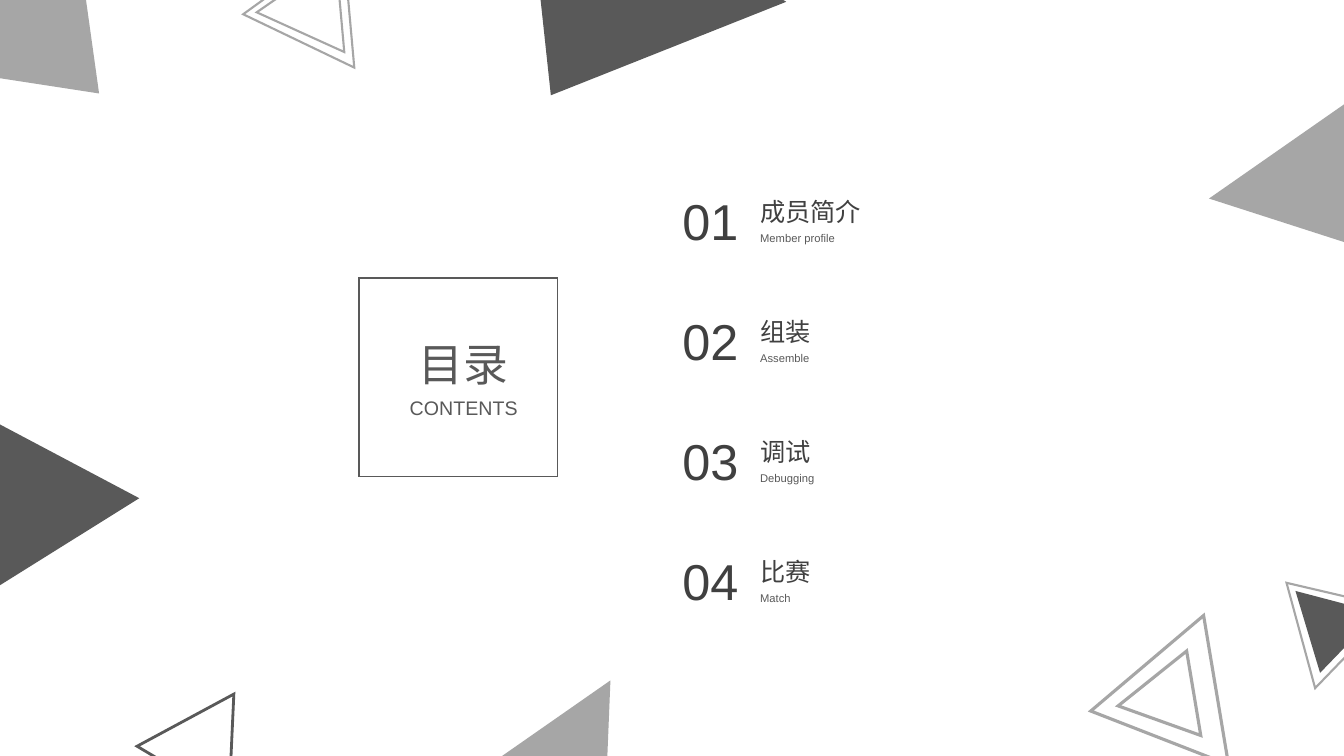
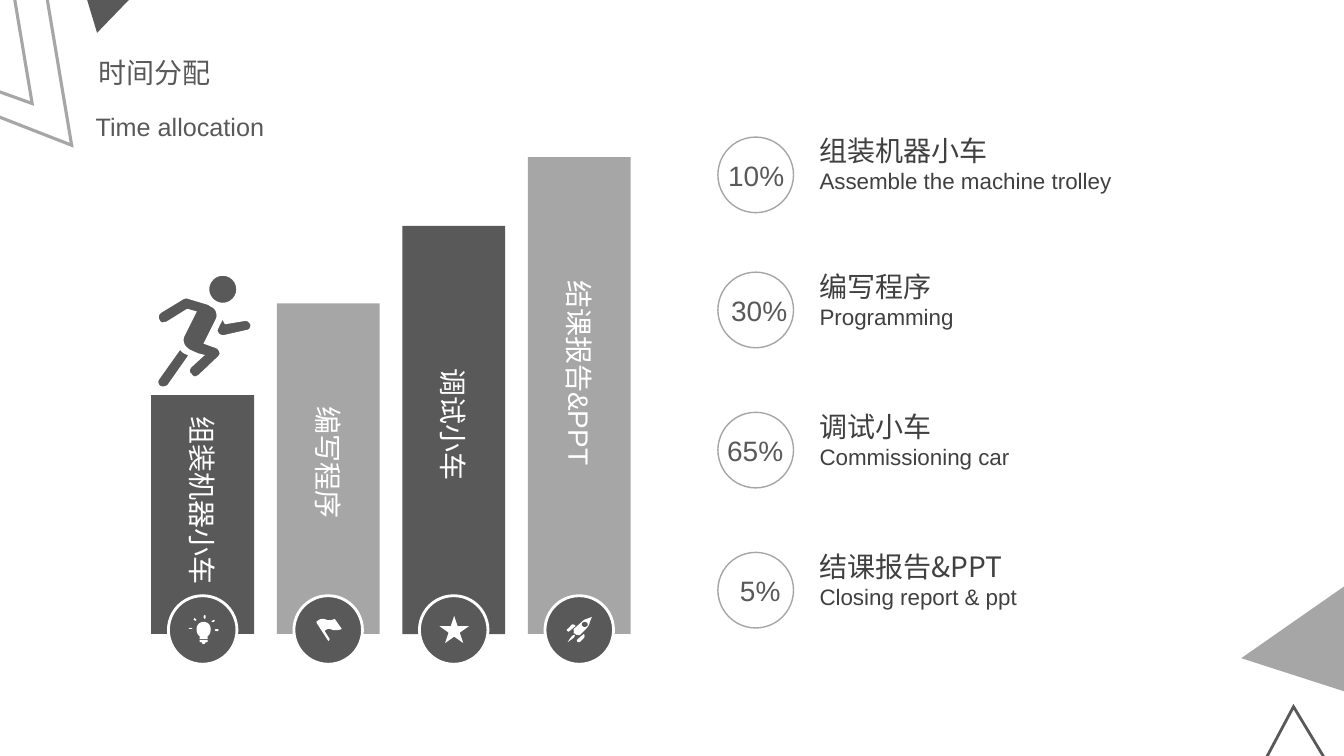
from dataclasses import dataclass

from pptx import Presentation
from pptx.dml.color import RGBColor
from pptx.enum.shapes import MSO_SHAPE
from pptx.enum.text import MSO_AUTO_SIZE, PP_ALIGN
from pptx.oxml.ns import qn
from pptx.util import Emu, Inches, Pt

TRIANGLE = MSO_SHAPE.ISOSCELES_TRIANGLE
RECT = MSO_SHAPE.RECTANGLE
OVAL = MSO_SHAPE.OVAL
STAR = MSO_SHAPE.STAR_5_POINT
LEFT, CENTER = PP_ALIGN.LEFT, PP_ALIGN.CENTER
GROW = MSO_AUTO_SIZE.SHAPE_TO_FIT_TEXT

# The slide is a grid of square cells; every length counts columns or rows.
COLS, ROWS = 13.33, 7.5
CELL = Inches(1)

DARK, GREY, INK, WHITE = "595959", "A6A6A6", "404040", "FFFFFF"
LATIN, CJK = "Arial", "Noto Sans CJK SC"
CURVE_STEPS = 8


@dataclass(frozen=True)
class Triangle:
    left: float
    top: float
    width: float
    height: float
    rotation: float
    flip: str = ""
    fill: str = ""
    line: str = ""
    weight: float = 0


@dataclass(frozen=True)
class Run:
    text: str
    size: float
    color: str = DARK
    font: str = LATIN


@dataclass(frozen=True)
class Chapter:
    title: str
    english: str
    title_width: float
    english_width: float


@dataclass(frozen=True)
class Bar:
    label: str
    height: float
    label_top: float
    label_length: float
    color: str


@dataclass(frozen=True)
class Share:
    percent: str
    title: str
    english: str
    top: float
    percent_left: float


CONTENTS_TRIANGLES = [
    Triangle(4.46, -0.91, 3.04, 2, 31.1, "HV", fill=DARK),
    Triangle(1.51, 7.09, 1.09, 0.91, 151.7, "H", line=DARK, weight=2),
    Triangle(-1.05, 3.82, 2.11, 1.82, 328, "H", fill=DARK),
    Triangle(2.31, -0.43, 1.25, 1.05, 264.9, "H", line=GREY, weight=1.5),
    Triangle(2.49, -0.33, 0.94, 0.83, 264.9, "H", line=GREY, weight=1.5),
    Triangle(-1.24, -0.81, 3.02, 2.03, 315.4, "V", fill=GREY),
    Triangle(12.54, 5.64, 1.11, 0.93, 314, line=GREY, weight=1.5),
    Triangle(12.7, 5.75, 0.83, 0.74, 314, fill=DARK),
    Triangle(10.69, 6.32, 1.5, 1.26, 260.5, line=GREY, weight=2.25),
    Triangle(11.04, 6.56, 0.85, 0.76, 260.5, line=GREY, weight=2.25),
    Triangle(12.29, 0.92, 3.04, 2, 325.1, "HV", fill=GREY),
    Triangle(3.86, 7.44, 3.04, 2, 325.1, "HV", fill=GREY),
]
TIME_TRIANGLES = [
    Triangle(0.57, -0.6, 0.83, 0.74, 314, fill=DARK),
    Triangle(-1.44, -0.38, 2.16, 1.81, 260.5, line=GREY, weight=2.25),
    Triangle(-0.93, -0.03, 1.22, 1.09, 260.5, line=GREY, weight=2.25),
    Triangle(12.61, 5.48, 3.04, 2, 325.1, "HV", fill=GREY),
    Triangle(12.43, 7.25, 1.09, 0.91, 118, "H", line=DARK, weight=2),
]
CHAPTERS = [
    Chapter("成员简介", "Member profile", 1.21, 0.95),
    Chapter("组装", "Assemble", 0.71, 0.7),
    Chapter("调试", "Debugging", 0.71, 0.75),
    Chapter("比赛", "Match", 0.71, 0.51),
]
BARS = [
    Bar("组装机器小车", 2.37, 4.03, 1.93, DARK),
    Bar("编写程序", 3.28, 3.93, 1.74, GREY),
    Bar("调试小车", 4.05, 3.56, 1.74, DARK),
    Bar("结课报告&PPT", 4.73, 2.68, 2.63, GREY),
]
SHARES = [
    Share("10%", "组装机器小车", "Assemble the machine trolley", 1.36, 7.01),
    Share("30%", "编写程序", "Programming", 2.7, 7.04),
    Share("65%", "调试小车", "Commissioning car", 4.09, 7),
    Share("5%", "结课报告&PPT", "Closing report & ppt", 5.48, 7.05),
]

# Outlines: a pair is a corner, six numbers are a Bézier curve.
RUNNER = [
    [(2.42, 3.17), (2.24, 3.2), (2.18, 3.09), (2.2, 3.13, 2.2, 3.17, 2.17, 3.21),
     (2.14, 3.28), (2.15, 3.3), (2.16, 3.33, 2.19, 3.34, 2.22, 3.34), (2.44, 3.29),
     (2.48, 3.29, 2.5, 3.26, 2.5, 3.22), (2.49, 3.19, 2.46, 3.16, 2.42, 3.17)],
    [(2.15, 3.44), (2.04, 3.4), (2.15, 3.18), (2.18, 3.13, 2.16, 3.05, 2.1, 3.03),
     (2.07, 3.01), (1.87, 2.95), (1.85, 2.94, 1.83, 2.95, 1.82, 2.95), (1.59, 3.09),
     (1.56, 3.11, 1.55, 3.15, 1.57, 3.18), (1.58, 3.21, 1.61, 3.22, 1.63, 3.21),
     (1.65, 3.21), (1.86, 3.08), (1.93, 3.1), (1.82, 3.32),
     (1.79, 3.37, 1.81, 3.44, 1.86, 3.47), (1.87, 3.48), (1.96, 3.52), (2, 3.53),
     (1.89, 3.63), (1.86, 3.66, 1.86, 3.7, 1.89, 3.72),
     (1.9, 3.74, 1.92, 3.75, 1.94, 3.75), (1.96, 3.74, 1.97, 3.74, 1.98, 3.73),
     (2.17, 3.55), (2.19, 3.53, 2.2, 3.51, 2.19, 3.49),
     (2.18, 3.46, 2.17, 3.45, 2.15, 3.44)],
    [(1.79, 3.44), (1.57, 3.75), (1.55, 3.77, 1.55, 3.82, 1.58, 3.84),
     (1.6, 3.85, 1.62, 3.85, 1.63, 3.85), (1.65, 3.84, 1.67, 3.84, 1.68, 3.82),
     (1.89, 3.52), (1.85, 3.5), (1.82, 3.49, 1.8, 3.47, 1.79, 3.44)],
]
BULB = [
    [(1.95, 6.15), (1.93, 6.13), (1.92, 6.15), (1.94, 6.16)],
    [(1.9, 6.23), (1.88, 6.23), (1.87, 6.24), (1.9, 6.24), (1.91, 6.24)],
    [(2.16, 6.24), (2.14, 6.24), (2.13, 6.25), (2.14, 6.26), (2.16, 6.26), (2.17, 6.25)],
    [(2.13, 6.15), (2.12, 6.15), (2.1, 6.16), (2.1, 6.17), (2.12, 6.17), (2.13, 6.16)],
    [(2.03, 6.14), (2.04, 6.13), (2.04, 6.11), (2.03, 6.1), (2.02, 6.11), (2.02, 6.13)],
    [(2.02, 6.17), (1.98, 6.17, 1.95, 6.2, 1.95, 6.24),
     (1.95, 6.27, 1.96, 6.3, 1.98, 6.31), (1.98, 6.34), (2.06, 6.34), (2.06, 6.31),
     (2.08, 6.3, 2.09, 6.27, 2.09, 6.24), (2.09, 6.2, 2.06, 6.17, 2.02, 6.17)],
    [(1.98, 6.37), (2, 6.37), (2, 6.38, 2.01, 6.39, 2.02, 6.39),
     (2.03, 6.39, 2.04, 6.38, 2.04, 6.37), (2.06, 6.37), (2.06, 6.35), (1.98, 6.35)],
]
FLAG = [
    [(3.32, 6.14), (3.32, 6.14, 3.28, 6.16, 3.24, 6.15),
     (3.2, 6.13, 3.17, 6.14, 3.15, 6.16), (3.14, 6.16), (3.14, 6.18), (3.25, 6.35),
     (3.26, 6.36), (3.27, 6.34), (3.22, 6.26), (3.24, 6.24, 3.26, 6.23, 3.3, 6.25),
     (3.35, 6.26, 3.39, 6.24, 3.39, 6.24)],
]
ROCKET = [
    [(5.82, 6.14), (5.8, 6.14, 5.78, 6.16, 5.77, 6.17), (5.69, 6.24), (5.69, 6.26),
     (5.73, 6.3), (5.75, 6.3), (5.82, 6.23), (5.83, 6.22, 5.85, 6.19, 5.85, 6.17),
     (5.87, 6.12)],
    [(5.65, 6.26), (5.71, 6.21), (5.69, 6.19, 5.67, 6.19, 5.66, 6.21), (5.63, 6.24),
     (5.62, 6.24, 5.62, 6.26, 5.63, 6.26), (5.63, 6.27, 5.64, 6.27, 5.65, 6.26)],
    [(5.73, 6.34), (5.72, 6.35, 5.72, 6.36, 5.73, 6.37),
     (5.74, 6.37, 5.75, 6.37, 5.75, 6.37), (5.79, 6.33),
     (5.8, 6.32, 5.8, 6.3, 5.79, 6.29)],
    [(5.69, 6.27), (5.69, 6.28), (5.72, 6.3), (5.73, 6.29), (5.7, 6.26)],
    [(5.63, 6.37), (5.66, 6.35, 5.71, 6.32, 5.7, 6.3),
     (5.68, 6.29, 5.65, 6.34, 5.63, 6.37)],
]


def grid(cells: float) -> Emu:
    return Emu(round(cells * CELL))


def rgb(color: str) -> RGBColor:
    return RGBColor.from_string(color)


def paint(sp, fill: str = "", line: str = "", weight: float = 0) -> None:
    """Set fill and mitred outline; an empty colour means none."""
    sp.shadow.inherit = False
    if fill:
        sp.fill.solid()
        sp.fill.fore_color.rgb = rgb(fill)
    else:
        sp.fill.background()
    if line:
        sp.line.color.rgb = rgb(line)
        sp.line.width = Pt(weight)
        ln = sp._element.spPr.find(qn("a:ln"))
        ln.append(ln.makeelement(qn("a:miter"), {"lim": "800000"}))
    else:
        sp.line.fill.background()


def add_shape(slide, kind, left: float, top: float, width: float, height: float,
              fill: str = "", line: str = "", weight: float = 0):
    sp = slide.shapes.add_shape(kind, *map(grid, (left, top, width, height)))
    paint(sp, fill, line, weight)
    return sp


def add_triangles(slide, triangles: list[Triangle]) -> None:
    for t in triangles:
        sp = add_shape(slide, TRIANGLE, t.left, t.top, t.width, t.height,
                       t.fill, t.line, t.weight)
        sp.rotation = t.rotation
        for axis in t.flip:
            sp._element.spPr.xfrm.set("flip" + axis, "1")


def trace(outline: list[tuple]) -> list[tuple[Emu, Emu]]:
    """Turn corners and Bézier curves into a fine polygon."""
    points = [outline[0]]
    for segment in outline[1:]:
        if len(segment) == 2:
            points.append(segment)
            continue
        x0, y0 = points[-1]
        x1, y1, x2, y2, x3, y3 = segment
        for step in range(1, CURVE_STEPS + 1):
            t = step / CURVE_STEPS
            u = 1 - t
            a, b, c, d = u ** 3, 3 * u * u * t, 3 * u * t * t, t ** 3
            points.append((a * x0 + b * x1 + c * x2 + d * x3,
                           a * y0 + b * y1 + c * y2 + d * y3))
    return [(grid(x), grid(y)) for x, y in points]


def add_outlines(slide, outlines: list[list[tuple]], fill: str,
                 line: str = "", weight: float = 0) -> None:
    for outline in outlines:
        start, *rest = trace(outline)
        builder = slide.shapes.build_freeform(*start)
        builder.add_line_segments(rest, close=True)
        paint(builder.convert_to_shape(), fill, line, weight)


def add_text(slide, left: float, top: float, width: float, height: float,
             *runs: Run, align=LEFT, wrap: bool = True, spacing: float = 1):
    """Add a text box with one paragraph for each run."""
    sp = slide.shapes.add_textbox(*map(grid, (left, top, width, height)))
    tf = sp.text_frame
    tf.word_wrap = wrap
    tf.auto_size = GROW
    for i, run in enumerate(runs):
        p = tf.add_paragraph() if i else tf.paragraphs[0]
        p.alignment = align
        p.line_spacing = spacing
        r = p.add_run()
        r.text = run.text
        r.font.size = Pt(run.size)
        r.font.color.rgb = rgb(run.color)
        r.font.name = run.font
        rPr = r.font._element
        rPr.append(rPr.makeelement(qn("a:ea"), {"typeface": CJK}))
    return sp


def build_contents(slide) -> None:
    add_triangles(slide, CONTENTS_TRIANGLES)
    for i, chapter in enumerate(CHAPTERS):
        top = 1.84 + 1.19 * i
        add_text(slide, 6.67, top, 0.76, 0.71, Run(f"{i + 1:02}", 36, INK), wrap=False)
        add_text(slide, 7.44, top + 0.06, chapter.title_width, 0.4,
                 Run(chapter.title, 18, INK, CJK), wrap=False)
        add_text(slide, 7.44, top + 0.41, chapter.english_width, 0.24,
                 Run(chapter.english, 8), wrap=False)
    add_text(slide, 4.05, 3.29, 1.1, 0.64, Run("目录", 32, font=CJK),
             align=CENTER, wrap=False)
    add_text(slide, 3.96, 3.88, 1.28, 0.34, Run("CONTENTS", 14),
             align=CENTER, wrap=False)
    add_shape(slide, RECT, 3.56, 2.76, 1.97, 1.97, line=DARK, weight=1)


def add_bars(slide) -> None:
    bar_width, pitch, floor, badge, label_height = 1.02, 1.245, 6.29, 0.68, 0.44
    for i, bar in enumerate(BARS):
        left = 1.5 + pitch * i
        middle = left + bar_width / 2
        add_shape(slide, RECT, left, floor - bar.height, bar_width, bar.height, bar.color)
        add_shape(slide, OVAL, middle - badge / 2, 5.91, badge, badge, DARK, WHITE, 2)
        label = add_text(slide, middle - bar.label_length / 2,
                         bar.label_top + (bar.label_length - label_height) / 2,
                         bar.label_length, label_height, Run(bar.label, 20, WHITE))
        label.rotation = 90
    for icon in (BULB, FLAG, ROCKET):
        add_outlines(slide, icon, WHITE)
    add_shape(slide, STAR, 4.36, 6.11, 0.29, 0.27, WHITE)
    add_shape(slide, OVAL, 5.77, 6.17, 0.06, 0.05, DARK)
    add_shape(slide, OVAL, 2.06, 2.72, 0.3, 0.3, DARK, WHITE, 2.25)
    add_outlines(slide, RUNNER, DARK, WHITE, 2.25)


def build_time_allocation(slide) -> None:
    add_triangles(slide, TIME_TRIANGLES)
    add_text(slide, 0.85, 0.75, 4.48, 0.61, Run("Time allocation", 18), spacing=2.0)
    add_text(slide, 0.88, 0.5, 3.34, 0.44, Run("时间分配", 20))
    add_bars(slide)
    for share in SHARES:
        add_shape(slide, OVAL, 7.12, share.top, 0.75, 0.75, line=GREY, weight=1)
        add_text(slide, share.percent_left, share.top + 0.16, 0.98, 0.44,
                 Run(share.percent, 20), align=CENTER)
        add_text(slide, 8.03, share.top - 0.08, 4.07, 0.71,
                 Run(share.title, 20, INK, CJK), Run(share.english, 16, INK))


def main() -> None:
    prs = Presentation()
    prs.slide_width, prs.slide_height = grid(COLS), grid(ROWS)
    blank = prs.slide_layouts[6]
    for build in (build_contents, build_time_allocation):
        build(prs.slides.add_slide(blank))
    prs.save("out.pptx")


if __name__ == "__main__":
    main()
